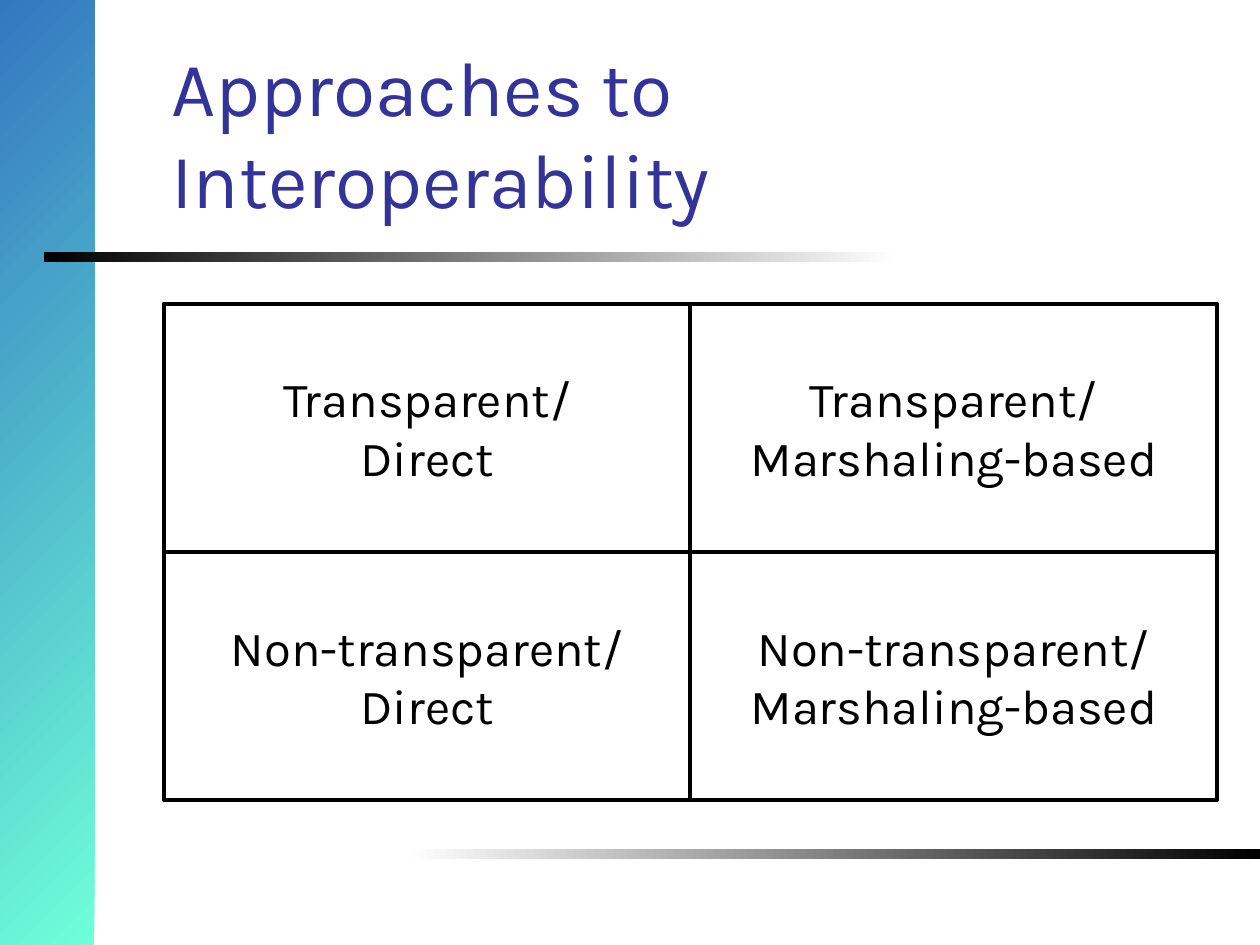
from pptx import Presentation
from pptx.dml.color import RGBColor
from pptx.enum.shapes import MSO_SHAPE
from pptx.enum.text import MSO_ANCHOR, PP_ALIGN
from pptx.util import Inches, Pt


def color(hex_string):
    return RGBColor.from_string(hex_string)


def write(shape, text, size, text_color, anchor, alignment, wrap):
    frame = shape.text_frame
    frame.word_wrap = wrap
    frame.vertical_anchor = anchor
    paragraph = frame.paragraphs[0]
    paragraph.text = text
    paragraph.alignment = alignment
    for run in paragraph.runs:
        run.font.name = "Karla"
        run.font.size = Pt(size)
        run.font.color.rgb = color(text_color)


presentation = Presentation()
presentation.slide_width = Inches(10)
presentation.slide_height = Inches(7.5)
slide = presentation.slides.add_slide(presentation.slide_layouts[6])

# Side band and the two fading rules: left, top, width, height, stops, angle
gradient_bars = [
    (0, 0, 0.75, 7.5, ("6FFFD9", "3477C0"), 135),
    (0.35, 2, 6.77, 0.08, ("FFFFFF", "000000"), 180),
    (3.23, 6.74, 6.77, 0.08, ("000000", "FFFFFF"), 180),
]
for left, top, width, height, stop_colors, angle in gradient_bars:
    bar = slide.shapes.add_shape(
        MSO_SHAPE.RECTANGLE, Inches(left), Inches(top), Inches(width), Inches(height))
    bar.shadow.inherit = False
    bar.line.fill.background()
    bar.fill.gradient()
    bar.fill.gradient_angle = angle
    for stop, stop_color in zip(bar.fill.gradient_stops, stop_colors):
        stop.color.rgb = color(stop_color)

title = slide.shapes.add_textbox(Inches(1.26), Inches(0.23), Inches(8.52), Inches(1.6))
write(title, "Approaches to Interoperability", 44, "333399",
      MSO_ANCHOR.BOTTOM, PP_ALIGN.LEFT, True)

# Two-by-two matrix of approaches
cell_width, cell_height = 4.18, 1.97
matrix = slide.shapes.add_group_shape()
for row, visibility in enumerate(["Transparent/", "Non-transparent/"]):
    for column, mechanism in enumerate(["Direct", "Marshaling-based"]):
        cell = matrix.shapes.add_shape(
            MSO_SHAPE.RECTANGLE,
            Inches(1.3 + column * cell_width), Inches(2.41 + row * cell_height),
            Inches(cell_width), Inches(cell_height))
        cell.shadow.inherit = False
        cell.fill.solid()
        cell.fill.fore_color.rgb = color("FFFFFF")
        cell.line.color.rgb = color("000000")
        cell.line.width = Pt(2.25)
        write(cell, f"{visibility}\n{mechanism}", 28, "000000",
              MSO_ANCHOR.MIDDLE, PP_ALIGN.CENTER, False)

presentation.save("out.pptx")
